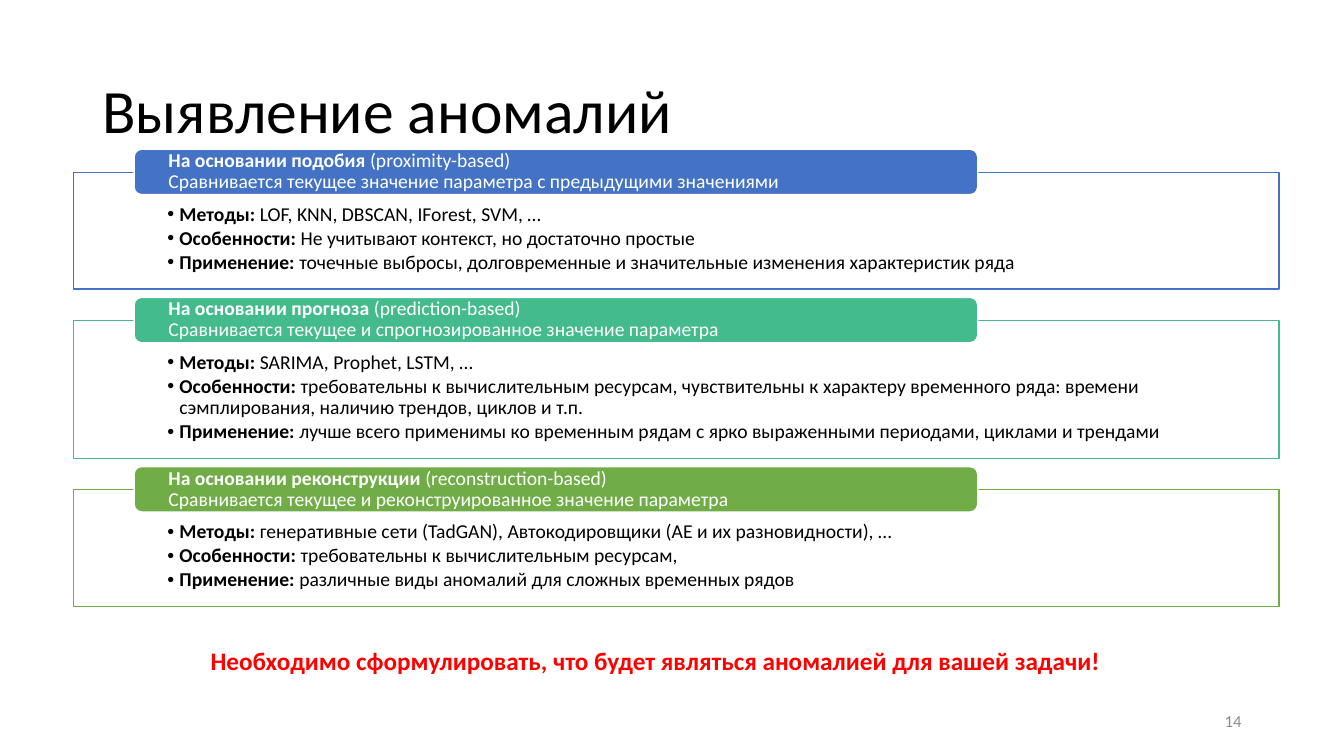
from dataclasses import dataclass

from lxml import etree
from pptx import Presentation
from pptx.dml.color import RGBColor
from pptx.enum import shapes, text
from pptx.oxml.ns import qn
from pptx.util import Pt

FONT = "Calibri"
COLORS = {
    "black": "000000", "white": "FFFFFF", "red": "FF0000", "gray": "8C8C8C",
    "blue": "4472C4", "teal": "43BB8D", "green": "70AD47",
}
PANEL_LEFT, PANEL_WIDTH, PANELS_TOP, PANEL_GAP = 52.6, 861.1, 123.1, 22.3
HEADER_LEFT, HEADER_WIDTH, HEADER_HEIGHT, HEADER_RISE = 95.8, 602.6, 32.4, 16.5
LABELS = ("Методы: ", "Особенности: ", "Применение: ")


@dataclass
class Approach:
    name: str
    english: str
    summary: str
    details: tuple[str, str, str]
    color: str
    height: float


APPROACHES = [
    Approach(
        "На основании подобия ", "(proximity-based)",
        "Сравнивается текущее значение параметра с предыдущими значениями",
        ("LOF, KNN, DBSCAN, IForest, SVM, …",
         "Не учитывают контекст, но достаточно простые",
         "точечные выбросы, долговременные и значительные изменения характеристик ряда"),
        "blue", 83.5),
    Approach(
        "На основании прогноза ", "(prediction-based)",
        "Сравнивается текущее и спрогнозированное значение параметра",
        ("SARIMA, Prophet, LSTM, …",
         "требовательны к вычислительным ресурсам, чувствительны к характеру "
         "временного ряда: времени сэмплирования, наличию трендов, циклов и т.п.",
         "лучше всего применимы ко временным рядам с ярко выраженными периодами, "
         "циклами и трендами"),
        "teal", 98.6),
    Approach(
        "На основании реконструкции ", "(reconstruction-based)",
        "Сравнивается текущее и реконструированное значение параметра",
        ("генеративные сети (TadGAN), Автокодировщики (AE и их разновидности), …",
         "требовательны к вычислительным ресурсам,",
         "различные виды аномалий для сложных временных рядов"),
        "green", 83.5),
]


def rgb(name: str) -> RGBColor:
    return RGBColor.from_string(COLORS[name])


def style_run(r, size: float, color: str, bold: bool = False) -> None:
    r.font.name, r.font.size, r.font.bold = FONT, Pt(size), bold
    r.font.color.rgb = rgb(color)


def write_line(p, bold_part: str, plain_part: str, color: str) -> None:
    p.alignment, p.line_spacing = text.PP_ALIGN.LEFT, 0.9
    for content, bold in ((bold_part, True), (plain_part, False)):
        if content:
            r = p.add_run()
            r.text = content
            style_run(r, 14, color, bold)


def add_bullet(p) -> None:
    pPr = p._p.get_or_add_pPr()
    pPr.set("marL", str(Pt(8.6)))
    pPr.set("indent", str(-Pt(8.6)))
    etree.SubElement(pPr, qn("a:buFont"), typeface="Arial")
    etree.SubElement(pPr, qn("a:buChar"), char="•")


def add_box(s, kind, box: tuple, fill: str, line: str, insets: tuple, anchor):
    sp = s.shapes.add_shape(kind, *map(Pt, box))
    sp.shadow.inherit = False
    sp.fill.solid()
    sp.fill.fore_color.rgb = rgb(fill)
    sp.line.color.rgb, sp.line.width = rgb(line), Pt(1)
    tf = sp.text_frame
    tf.word_wrap, tf.vertical_anchor = True, anchor
    tf.margin_left, tf.margin_top, tf.margin_right, tf.margin_bottom = map(Pt, insets)
    return tf


def add_approach(s, approach: Approach, top: float) -> None:
    tf = add_box(s, shapes.MSO_SHAPE.RECTANGLE,
                 (PANEL_LEFT, top, PANEL_WIDTH, approach.height),
                 "white", approach.color, (67, 23, 67, 8), text.MSO_ANCHOR.TOP)
    for i, (label, detail) in enumerate(zip(LABELS, approach.details)):
        p = tf.add_paragraph() if i else tf.paragraphs[0]
        write_line(p, label, detail, "black")
        p.space_after = Pt(2)
        add_bullet(p)

    tf = add_box(s, shapes.MSO_SHAPE.ROUNDED_RECTANGLE,
                 (HEADER_LEFT, top - HEADER_RISE, HEADER_WIDTH, HEADER_HEIGHT),
                 approach.color, "white", (23, 0, 23, 0), text.MSO_ANCHOR.MIDDLE)
    write_line(tf.paragraphs[0], approach.name, approach.english, "white")
    write_line(tf.add_paragraph(), "", approach.summary, "white")


def add_label(s, box: tuple, content: str, size: float, color: str, bold: bool, align):
    tf = s.shapes.add_textbox(*map(Pt, box)).text_frame
    tf.text = content
    tf.word_wrap = False
    tf.vertical_anchor = text.MSO_ANCHOR.MIDDLE
    p = tf.paragraphs[0]
    p.alignment = align
    style_run(p.runs[0], size, color, bold)
    return tf


def add_title(s, content: str) -> None:
    title = s.shapes.title
    title.left, title.top, title.width, title.height = map(Pt, (66, 28.8, 828, 104.4))
    tf = title.text_frame
    tf.text = content
    tf.vertical_anchor = text.MSO_ANCHOR.MIDDLE
    p = tf.paragraphs[0]
    p.alignment, p.line_spacing = text.PP_ALIGN.LEFT, 0.9
    style_run(p.runs[0], 44, "black")


def main() -> None:
    prs = Presentation()
    prs.slide_width, prs.slide_height = Pt(960), Pt(540)
    s = prs.slides.add_slide(prs.slide_layouts[5])
    add_title(s, "Выявление аномалий")

    top = PANELS_TOP
    for approach in APPROACHES:
        add_approach(s, approach, top)
        top += approach.height + PANEL_GAP

    add_label(s, (143.3, 457.2, 655.9, 29),
              "Необходимо сформулировать, что будет являться аномалией для вашей задачи!",
              18, "red", True, text.PP_ALIGN.LEFT)
    number = add_label(s, (678, 500.5, 216, 28.8), "14", 12, "gray", False,
                       text.PP_ALIGN.RIGHT)
    number.word_wrap = True
    prs.save("out.pptx")


if __name__ == "__main__":
    main()
